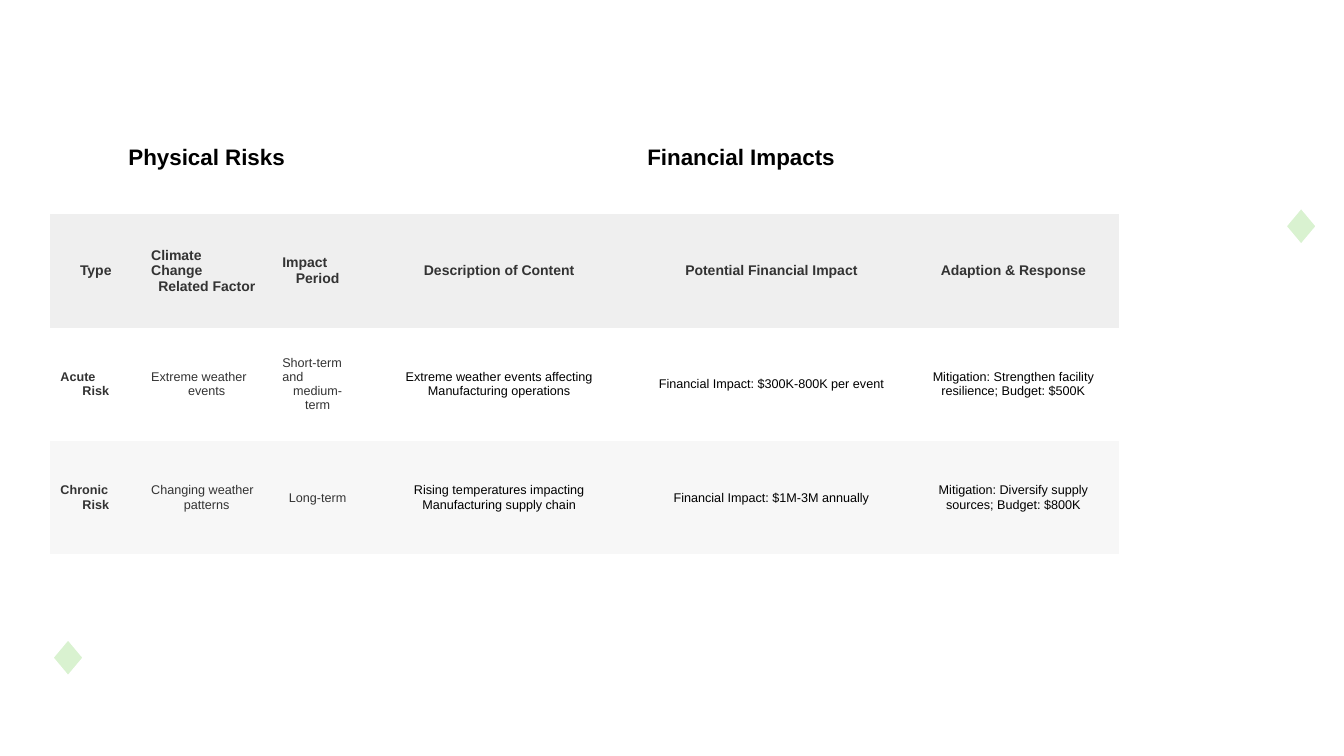
from pptx import Presentation
from pptx.dml.color import RGBColor
from pptx.enum.shapes import MSO_SHAPE as Shape
from pptx.enum.text import MSO_ANCHOR as Anchor, PP_ALIGN as Align
from pptx.oxml.ns import qn
from pptx.util import Emu, Pt
from lxml.etree import SubElement

# Content: lines of a cell are separated by a line feed
BANNERS = ["Physical Risks", "Financial Impacts"]
HEADERS = ["Type", "Climate\nChange\nRelated Factor", "Impact\nPeriod",
           "Description of Content", "Potential Financial Impact", "Adaption & Response"]
RISKS = [
    ["Acute\nRisk", "Extreme weather\nevents", "Short-term\nand\nmedium-term",
     "Extreme weather events affecting Manufacturing operations",
     "Financial Impact: $300K-800K per event",
     "Mitigation: Strengthen facility resilience; Budget: $500K"],
    ["Chronic\nRisk", "Changing weather\npatterns", "Long-term",
     "Rising temperatures impacting Manufacturing supply chain",
     "Financial Impact: $1M-3M annually",
     "Mitigation: Diversify supply sources; Budget: $800K"],
]

BLACK = RGBColor(0x00, 0x00, 0x00)
DARK = RGBColor(0x33, 0x33, 0x33)
WHITE = RGBColor(0xFF, 0xFF, 0xFF)
HEADER_GREY = RGBColor(0xEF, 0xEF, 0xEF)
BAND_GREY = RGBColor(0xF7, 0xF7, 0xF7)
MINT = RGBColor(0xD9, 0xF2, 0xD0)
ROW_FILLS = [WHITE, BAND_GREY]
FONT = "Arial"
PLAIN_TABLE = "{2D5ABB26-0587-4C30-8999-92F81FD0307C}"

# Layout in px, 100 to the inch
SLIDE = (1333, 750)
TABLE_LEFT, TABLE_TOP, TABLE_HEIGHT = 50, 100, 450
COLUMNS = [90, 130, 90, 270, 270, 210]
BANNER_SPAN = 3
ARC_BOX = (1090, -338, 400, 497)
ARC_ANGLES = (152.05, 215.37)
DIAMONDS = [(1275, 206), (52, 634)]
DIAMOND_SIZE = (31, 37)


def px(length):
    return Emu(length * 9144)


def add_decor(slide, kind, box, line_color, line_width):
    shape = slide.shapes.add_shape(kind, *map(px, box))
    shape.shadow.inherit = False
    shape.line.color.rgb = line_color
    shape.line.width = Pt(line_width)
    return shape


def fill_cell(cell, text, fill, size, color, bold):
    cell.fill.solid()
    cell.fill.fore_color.rgb = fill
    cell.vertical_anchor = Anchor.MIDDLE
    lines = text.split("\n")
    for index, line in enumerate(lines):
        frame = cell.text_frame
        para = frame.add_paragraph() if index else frame.paragraphs[0]
        # Only the last line of a cell is centred
        para.alignment = Align.CENTER if line is lines[-1] else Align.LEFT
        span = para.add_run()
        span.text = line
        span.font.name = FONT
        span.font.size = Pt(size)
        span.font.bold = bold
        span.font.color.rgb = color


def add_decorations(slide):
    arc = add_decor(slide, Shape.ARC, ARC_BOX, MINT, 46.25)
    arc.fill.background()
    arc.rotation = 151.3
    for index, angle in enumerate(ARC_ANGLES):
        arc.adjustments[index] = angle * 0.6  # 60000 units a degree, scaled by 100000
    line_color = next(arc.line.fill._xPr.iter(qn("a:srgbClr")))
    SubElement(line_color, qn("a:alpha"), val="60000")

    for corner in DIAMONDS:
        diamond = add_decor(slide, Shape.DIAMOND, corner + DIAMOND_SIZE, WHITE, 1.5)
        diamond.fill.solid()
        diamond.fill.fore_color.rgb = MINT


def add_risk_table(slide):
    box = (TABLE_LEFT, TABLE_TOP, sum(COLUMNS), TABLE_HEIGHT)
    holder = slide.shapes.add_table(2 + len(RISKS), len(COLUMNS), *map(px, box))
    table = holder.table
    table.first_row = table.horz_banding = False
    next(holder.element.iter(qn("a:tableStyleId"))).text = PLAIN_TABLE
    for column, width in zip(table.columns, COLUMNS):
        column.width = px(width)

    # Banner row
    for index, text in enumerate(BANNERS):
        first = index * BANNER_SPAN
        cell = table.cell(0, first)
        cell.merge(table.cell(0, first + BANNER_SPAN - 1))
        fill_cell(cell, text, WHITE, 16, BLACK, True)

    # Header row
    for col, text in enumerate(HEADERS):
        fill_cell(table.cell(1, col), text, HEADER_GREY, 10, DARK, True)

    # Risk rows
    for row, (texts, fill) in enumerate(zip(RISKS, ROW_FILLS), start=2):
        for col, text in enumerate(texts):
            color = DARK if col < BANNER_SPAN else BLACK
            fill_cell(table.cell(row, col), text, fill, 9, color, col == 0)


def main():
    deck = Presentation()
    deck.slide_width, deck.slide_height = map(px, SLIDE)
    page = deck.slides.add_slide(deck.slide_layouts[6])
    add_decorations(page)
    add_risk_table(page)
    deck.save("out.pptx")


if __name__ == "__main__":
    main()
